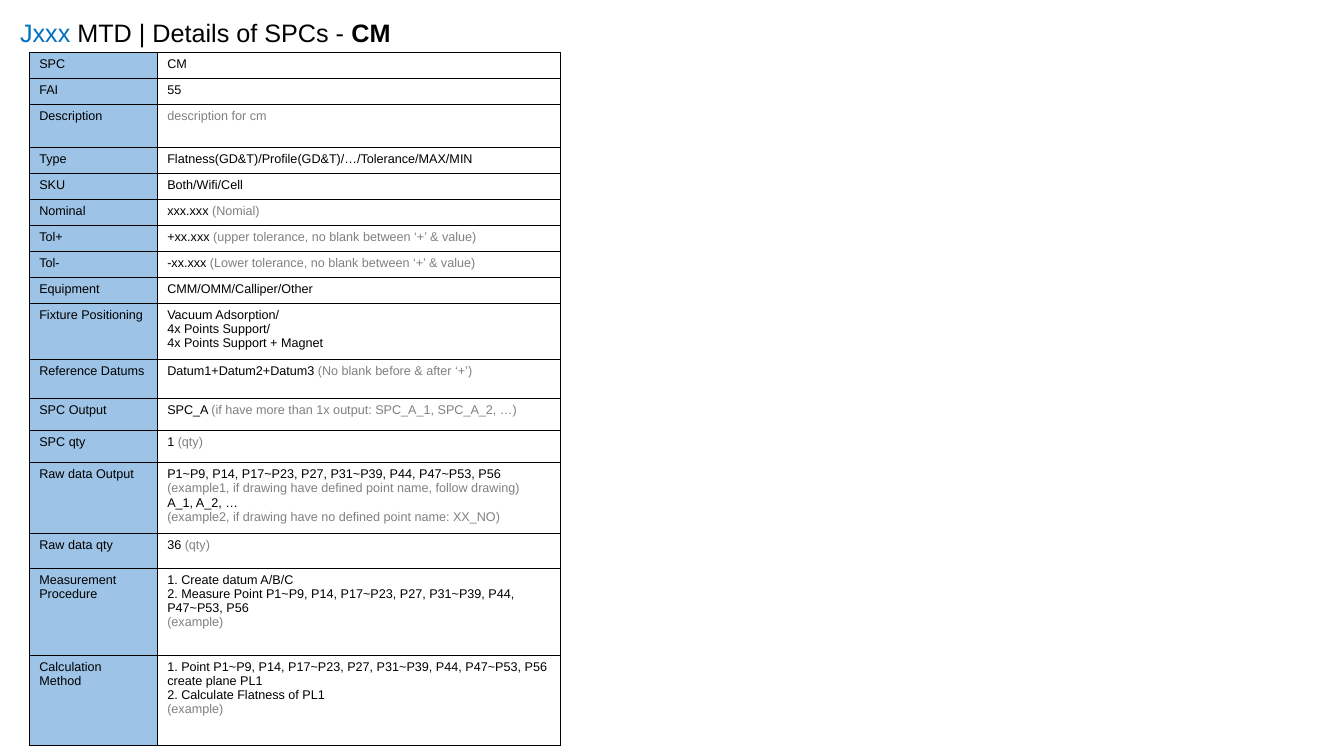
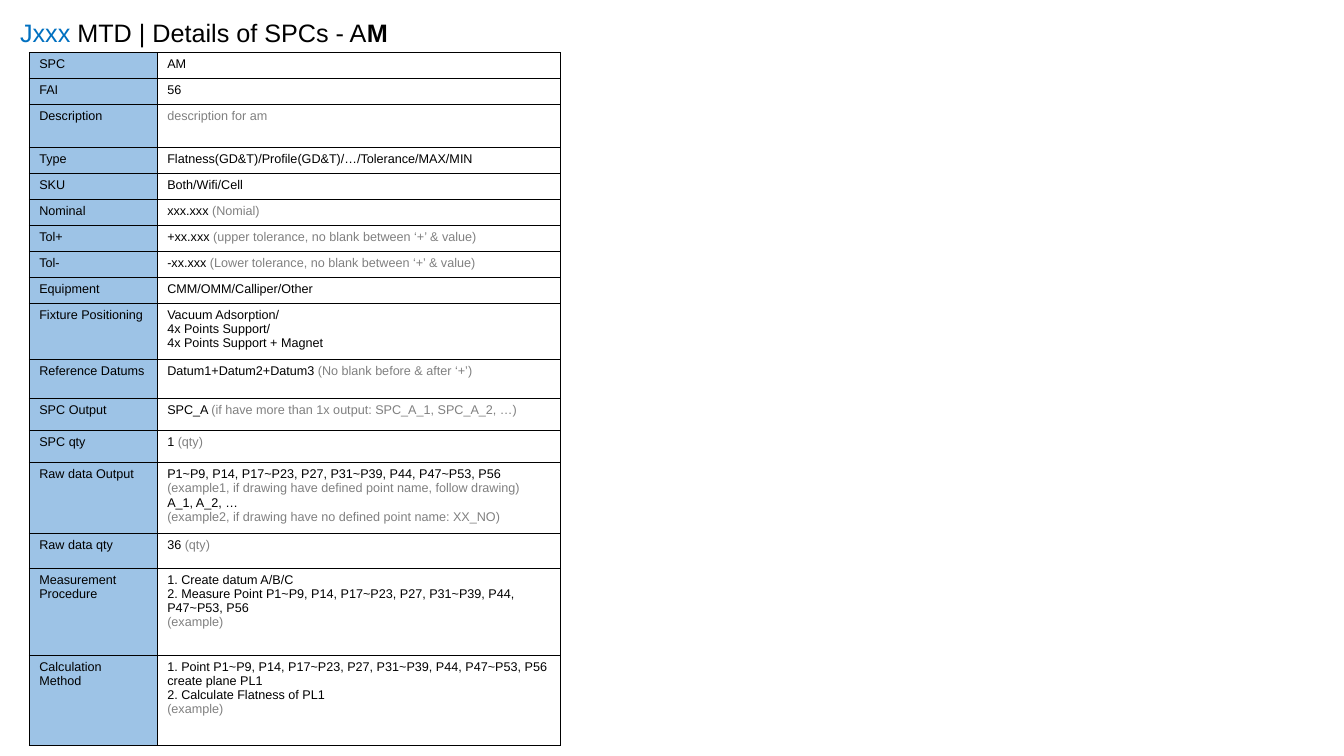
from lxml import etree
from pptx import Presentation
from pptx.dml.color import RGBColor
from pptx.enum.text import MSO_AUTO_SIZE
from pptx.oxml.ns import qn
from pptx.util import Pt

GROW = MSO_AUTO_SIZE.SHAPE_TO_FIT_TEXT
BLACK = RGBColor(0x00, 0x00, 0x00)
BLUE = RGBColor(0x00, 0x70, 0xC0)
GREY = RGBColor(0x80, 0x80, 0x80)
LABEL_FILL = RGBColor(0x9D, 0xC3, 0xE6)
FONT = "Arial"
TITLE_SIZE = 18
TABLE_SIZE = 9
BORDER_WIDTH = 0.5
BLANK_LAYOUT = 6

SLIDE_SIZE = (960, 540)
TITLE_BOX = (7.2, 8.6, 480, 29)
TABLE_BOX = (20.9, 37.4, 379.4, 494.5)
LABEL_WIDTH = 91.4
ROW_HEIGHT = 18.57

POINTS = "P1~P9, P14, P17~P23, P27, P31~P39, P44, P47~P53, P56"

SPCS = [
    {"name": "CM", "fai": "55", "description": "description for cm", "plain": "", "bold": "CM"},
    {"name": "AM", "fai": "56", "description": "description for am", "plain": "A", "bold": "M"},
]


def detail_rows(spc):
    return [
        ("SPC", ROW_HEIGHT, [(spc["name"], "")]),
        ("FAI", ROW_HEIGHT, [(spc["fai"], "")]),
        ("Description", 30.7, [("", spc["description"])]),
        ("Type", ROW_HEIGHT, [("Flatness(GD&T)/Profile(GD&T)/…/Tolerance/MAX/MIN", "")]),
        ("SKU", ROW_HEIGHT, [("Both/Wifi/Cell", "")]),
        ("Nominal", ROW_HEIGHT, [("xxx.xxx ", "(Nomial)")]),
        ("Tol+", ROW_HEIGHT, [("+xx.xxx ", "(upper tolerance, no blank between ‘+’ & value)")]),
        ("Tol-", ROW_HEIGHT, [("-xx.xxx ", "(Lower tolerance, no blank between ‘+’ & value)")]),
        ("Equipment", ROW_HEIGHT, [("CMM/OMM/Calliper/Other", "")]),
        ("Fixture Positioning", 40, [
            ("Vacuum Adsorption/", ""),
            ("4x Points Support/", ""),
            ("4x Points Support + Magnet", ""),
        ]),
        ("Reference Datums", 27.9, [("Datum1+Datum2+Datum3 ", "(No blank before & after ‘+’)")]),
        ("SPC Output", 22.9, [("SPC_A ", "(if have more than 1x output: SPC_A_1, SPC_A_2, …)")]),
        ("SPC qty", 22.9, [("1 ", "(qty)")]),
        ("Raw data Output", 50, [
            (POINTS, ""),
            ("", "(example1, if drawing have defined point name, follow drawing)"),
            ("A_1, A_2, …", ""),
            ("", "(example2, if drawing have no defined point name: XX_NO)"),
        ]),
        ("Raw data qty", 25, [("36 ", "(qty)")]),
        ("Measurement Procedure", 62.1, [
            ("1. Create datum A/B/C", ""),
            (f"2. Measure Point {POINTS}", ""),
            ("", "(example)"),
        ]),
        ("Calculation Method", 64.3, [
            (f"1. Point {POINTS} create plane PL1", ""),
            ("2. Calculate Flatness of PL1", ""),
            ("", "(example)"),
        ]),
    ]


def add_span(para, text, size=TABLE_SIZE, color=BLACK, bold=False):
    span = para.add_run()
    span.text = text
    span.font.name = FONT
    span.font.size = Pt(size)
    span.font.bold = bold
    span.font.color.rgb = color


def fill_cell(cell, lines, fill=None):
    for index, (value, hint) in enumerate(lines):
        frame = cell.text_frame
        para = frame.add_paragraph() if index else frame.paragraphs[0]
        if value:
            add_span(para, value)
        if hint:
            add_span(para, hint, color=GREY)
    properties = cell._tc.get_or_add_tcPr()
    for side in ("a:lnL", "a:lnR", "a:lnT", "a:lnB"):
        line = etree.SubElement(properties, qn(side), w=str(Pt(BORDER_WIDTH)))
        solid = etree.SubElement(line, qn("a:solidFill"))
        etree.SubElement(solid, qn("a:srgbClr"), val=str(BLACK))
    if fill is None:
        cell.fill.background()
    else:
        cell.fill.solid()
        cell.fill.fore_color.rgb = fill


def add_title(page, box, spc):
    frame = page.shapes.add_textbox(*map(Pt, box)).text_frame
    frame.word_wrap = True
    frame.auto_size = GROW
    para = frame.paragraphs[0]
    add_span(para, "Jxxx ", size=TITLE_SIZE, color=BLUE)
    add_span(para, f"MTD | Details of SPCs - {spc['plain']}", size=TITLE_SIZE)
    add_span(para, spc["bold"], size=TITLE_SIZE, bold=True)


def add_detail_table(page, box, spc):
    rows = detail_rows(spc)
    table = page.shapes.add_table(len(rows), 2, *map(Pt, box)).table
    table.first_row = False
    table.horz_banding = False
    table.columns[0].width = Pt(LABEL_WIDTH)
    table.columns[1].width = Pt(box[2] - LABEL_WIDTH)
    for index, (label, height, lines) in enumerate(rows):
        table.rows[index].height = Pt(height)
        fill_cell(table.cell(index, 0), [(label, "")], fill=LABEL_FILL)
        fill_cell(table.cell(index, 1), lines)


def add_spc_page(deck, spc):
    page = deck.slides.add_slide(deck.slide_layouts[BLANK_LAYOUT])
    add_title(page, TITLE_BOX, spc)
    add_detail_table(page, TABLE_BOX, spc)


def main():
    deck = Presentation()
    deck.slide_width, deck.slide_height = map(Pt, SLIDE_SIZE)
    for spc in SPCS:
        add_spc_page(deck, spc)
    deck.save("out.pptx")


if __name__ == "__main__":
    main()
